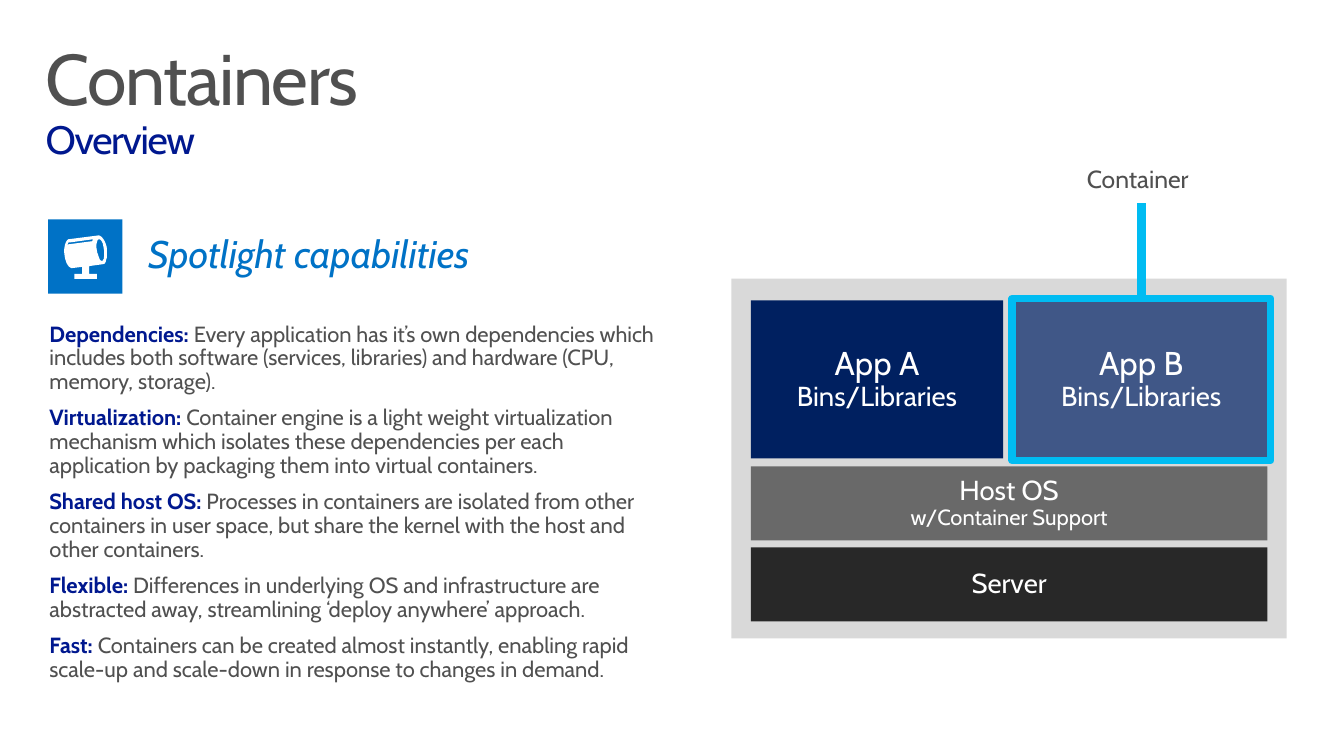
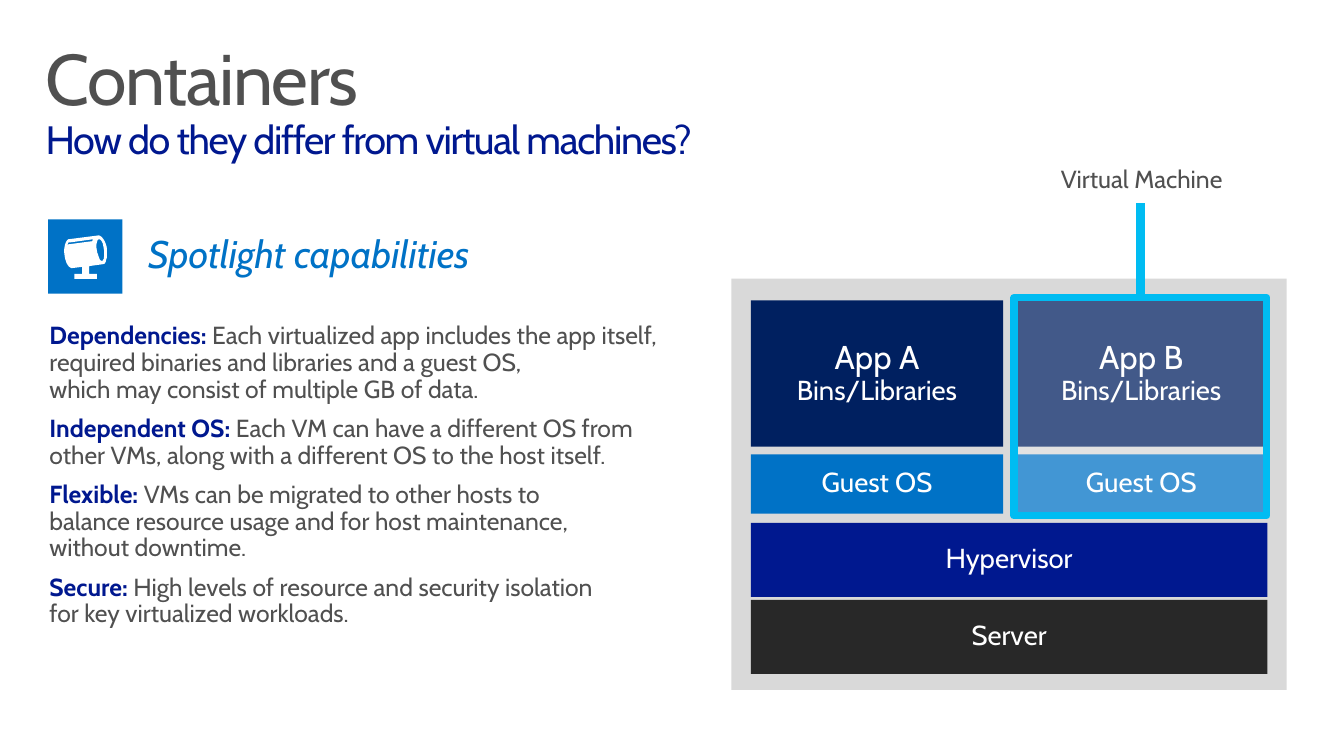
from lxml.etree import SubElement as Sub
from pptx import Presentation
from pptx.dml.color import RGBColor as RGB
from pptx.enum.shapes import MSO_CONNECTOR as LINK, MSO_SHAPE as SHAPE
from pptx.enum.text import MSO_ANCHOR as ANCHOR, MSO_AUTO_SIZE as FIT, PP_ALIGN as ALIGN
from pptx.oxml.ns import qn
from pptx.util import Cm, Pt

HUES = {
    "text": "505050", "navy": "00188F", "blue": "0072C6", "cyan": "00BCF2",
    "deep": "002060", "panel": "D9D9D9", "grey": "696969", "dark": "282828",
    "white": "FFFFFF",
}
FACE = "Cabin"
LEFT, WIDE, GAP = 19.3, 13.27, 0.31

LAMP = [
    [(112, 36), (109, 15, 99, 0, 91, 0), (13, 10), (5, 13, 0, 30, 3, 51),
     (5, 71, 15, 86, 23, 84), (48, 81), (48, 99), (28, 99), (28, 112),
     (86, 112), (86, 99), (66, 99), (66, 79), (102, 74),
     (109, 74, 114, 56, 112, 36)],
    [(74, 15), (13, 23), (10, 25), (13, 18), (18, 18), (76, 10)],
    [(99, 66), (94, 66, 89, 53, 86, 38), (84, 23, 86, 10, 91, 10),
     (97, 8, 102, 20, 104, 36), (107, 51, 104, 64, 99, 66)],
]

APPS = ["App A\vBins/Libraries", "App B\vBins/Libraries"]
PAGES = [
    {
        "sub": "Overview", "size": 16, "width": 16.89, "tall": 9.25,
        "items": [
            ("Dependencies: ", "Every application has it’s own dependencies which includes both software (services, libraries) and hardware (CPU, memory, storage)."),
            ("Virtualization: ", "Container engine is a light weight virtualization mechanism which isolates these dependencies per each application by packaging them into virtual containers."),
            ("Shared host OS: ", "Processes in containers are isolated from other containers in user space, but share the kernel with the host and other containers."),
            ("Flexible: ", "Differences in underlying OS and infrastructure are abstracted away, streamlining ‘deploy anywhere’ approach."),
            ("Fast: ", "Containers can be created almost instantly, enabling rapid scale-up and scale-down in response to changes in demand."),
        ],
        "rows": [
            (7.72, 4.06, "deep", (24, 20), APPS),
            (11.99, 1.9, "grey", (20, 16), ["Host OS\vw/Container Support"]),
            (14.07, 1.9, "dark", (20,), ["Server"]),
        ],
        "label": "Container", "mid": 29.24,
        "frame": (26.01, 7.67, 6.65, 4.17), "alpha": 25,
    },
    {
        "sub": "How do they differ from virtual machines?",
        "size": 18, "width": 17.35, "tall": 10.57,
        "items": [
            ("Dependencies: ", "Each virtualized app includes the app itself, required binaries and libraries and a guest OS,\vwhich may consist of multiple GB of data."),
            ("Independent OS: ", "Each VM can have a different OS from other VMs, along with a different OS to the host itself."),
            ("Flexible: ", "VMs can be migrated to other hosts to\vbalance resource usage and for host maintenance,\vwithout downtime."),
            ("Secure: ", "High levels of resource and security isolation\vfor key virtualized workloads."),
        ],
        "rows": [
            (7.72, 3.76, "deep", (24, 20), APPS),
            (11.68, 1.52, "blue", (20,), ["Guest OS", "Guest OS"]),
            (13.44, 1.9, "navy", (20,), ["Hypervisor"]),
            (15.42, 1.9, "dark", (20,), ["Server"]),
        ],
        "label": "Virtual Machine", "mid": 29.34,
        "frame": (26.06, 7.65, 6.5, 5.61), "alpha": 26,
    },
]


def tint(name):
    return RGB.from_string(HUES[name])


def place(item, x, y, w, h):
    item.left, item.top, item.width, item.height = Cm(x), Cm(y), Cm(w), Cm(h)


def style(run, size, hue, bold=False, slant=False):
    font = run.font
    font.name, font.size = FACE, Pt(size)
    font.bold, font.italic = bold, slant
    font.color.rgb = tint(hue)


def setup(frame, pads, anchor=ANCHOR.TOP):
    frame.word_wrap, frame.auto_size = True, FIT.NONE
    frame.vertical_anchor = anchor
    (frame.margin_left, frame.margin_top,
     frame.margin_right, frame.margin_bottom) = map(Cm, pads)


def write(frame, text, sizes, hues, align=ALIGN.LEFT, slant=False):
    frame.text = text
    para = frame.paragraphs[0]
    para.alignment, para.line_spacing = align, 0.9
    for run, size, hue in zip(para.runs, sizes, hues):
        style(run, size, hue, slant=slant)
    return para


def block(slide, x, y, w, h, hue=None, kind=SHAPE.RECTANGLE):
    box = slide.shapes.add_shape(kind, Cm(x), Cm(y), Cm(w), Cm(h))
    box.shadow.inherit = False
    box.line.fill.background()
    if hue:
        box.fill.solid()
        box.fill.fore_color.rgb = tint(hue)
    else:
        box.fill.background()
    return box


def title(slide, sub):
    head = slide.shapes.title
    place(head, 0.76, 0.86, 33.48, 2.49)
    setup(head.text_frame, (0.41, 0.25, 0.41, 0.25))
    para = write(head.text_frame, "Containers\v" + sub, (52.2, 28.8), ("text", "navy"))
    for run in para.runs:
        run.font._element.set("spc", "-100")


def body(slide, items, size, width):
    hold = slide.placeholders[1]
    place(hold, 0.76, 7.8, width, 10.64)
    frame = hold.text_frame
    setup(frame, (0.51, 0.51, 0.51, 0.25))
    for i, (head, text) in enumerate(items):
        para = frame.add_paragraph() if i else frame.paragraphs[0]
        props = para._p.get_or_add_pPr()
        props.set("marL", "0")
        props.set("indent", "0")
        Sub(props, qn("a:buNone"))
        para.line_spacing = 0.9
        para.space_before, para.space_after = Pt(3.1 if i else 0), Pt(6.1)
        para.text = head
        style(para.runs[0], size, "navy", bold=True)
        for j, part in enumerate(text.split("\v")):
            if j:
                para.add_line_break()
            run = para.add_run()
            run.text = part
            style(run, size, "text")
        for gap in para._p.findall(qn("a:br")):
            Sub(gap, qn("a:rPr"), sz=str(size * 100))


def trace(path):
    dots = [path[0]]
    for step in path[1:]:
        if len(step) == 2:
            dots.append(step)
            continue
        ends = [dots[-1], step[:2], step[2:4], step[4:]]
        for k in range(1, 9):
            t = k / 8
            mix = ((1 - t) ** 3, 3 * t * (1 - t) ** 2, 3 * t * t * (1 - t), t ** 3)
            dots.append(tuple(sum(m * e[a] for m, e in zip(mix, ends)) for a in (0, 1)))
    return dots


def lamp(slide, x, y):
    lines = [trace(path) for path in LAMP]
    pen = slide.shapes.build_freeform(*lines[0][0], scale=Cm(0.01))
    for i, dots in enumerate(lines):
        if i:
            pen.move_to(*dots[0])
        pen.add_line_segments(dots[1:], close=True)
    icon = pen.convert_to_shape(Cm(x), Cm(y))
    icon.shadow.inherit = False
    icon.fill.solid()
    icon.fill.fore_color.rgb = tint("white")
    icon.line.fill.background()


def banner(slide):
    band = block(slide, 0, 5.64, 17.53, 1.93, kind=SHAPE.PENTAGON)
    band.adjustments[0] = 0
    setup(band.text_frame, (3.81, 0.41, 0.51, 0.41))
    write(band.text_frame, "Spotlight capabilities", (28,), ("blue",), slant=True)
    block(slide, 1.24, 5.64, 1.91, 1.91, "blue")
    lamp(slide, 1.63, 6.05)


def stack(slide, rows, tall):
    block(slide, 18.8, 7.16, 14.27, tall, "panel")
    for top, high, hue, sizes, names in rows:
        wide = (WIDE - GAP * (len(names) - 1)) / len(names)
        for i, name in enumerate(names):
            tile = block(slide, LEFT + i * (wide + GAP), top, wide, high, hue)
            setup(tile.text_frame, (0.51, 0.41, 0.51, 0.41), ANCHOR.MIDDLE)
            write(tile.text_frame, name, sizes, ("white",) * 2, ALIGN.CENTER)


def callout(slide, label, mid, area, alpha):
    note = slide.shapes.add_textbox(Cm(mid - 3.04), Cm(3.89), Cm(6.08), Cm(1.52))
    setup(note.text_frame, (0.51, 0.41, 0.51, 0.41))
    write(note.text_frame, label, (18,), ("text",), ALIGN.CENTER)
    ring = block(slide, *area, "white")
    shade = ring._element.spPr.find(qn("a:solidFill"))[0]
    Sub(shade, qn("a:alpha"), val=str(alpha * 1000))
    ring.line.color.rgb, ring.line.width = tint("cyan"), Pt(5.25)
    x = ring.left + ring.width // 2
    stem = slide.shapes.add_connector(LINK.STRAIGHT, x, Cm(5.23), x, ring.top)
    stem.end_connect(ring, 0)
    stem.line.color.rgb, stem.line.width = tint("cyan"), Pt(6.25)
    Sub(stem._element.spPr, qn("a:effectLst"))


def main():
    deck = Presentation()
    deck.slide_width, deck.slide_height = Cm(34.54), Cm(19.43)
    for page in PAGES:
        slide = deck.slides.add_slide(deck.slide_layouts[1])
        title(slide, page["sub"])
        body(slide, page["items"], page["size"], page["width"])
        banner(slide)
        stack(slide, page["rows"], page["tall"])
        callout(slide, page["label"], page["mid"], page["frame"], page["alpha"])
    deck.save("out.pptx")


if __name__ == "__main__":
    main()
